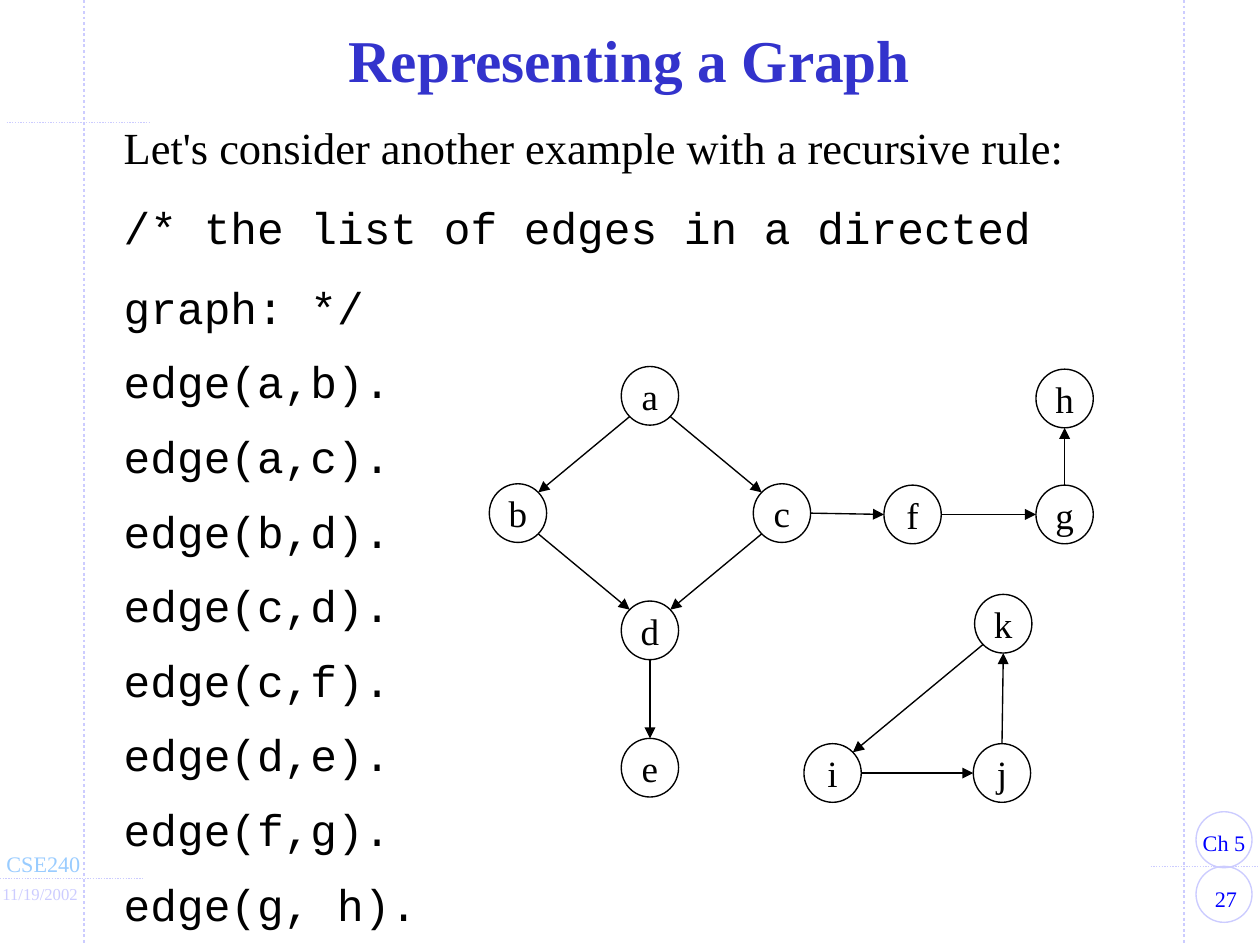
from math import sqrt

from pptx import Presentation
from pptx.dml.color import RGBColor
from pptx.enum.dml import MSO_LINE
from pptx.enum.shapes import MSO_CONNECTOR, MSO_SHAPE
from pptx.enum.text import MSO_ANCHOR, MSO_AUTO_SIZE, PP_ALIGN
from pptx.oxml.ns import qn
from pptx.util import Pt
from lxml.etree import SubElement

SCALE = 9144  # EMU per px, 100 px to the inch
WIDTH, HEIGHT = 945, 709
SERIF, MONO = "Times New Roman", "Courier New"
COLORS = {
    "title": "3333CC",
    "text": "000000",
    "node": "FFFFFF",
    "frame": "CCCCFF",
    "course": "99CCFF",
    "chapter": "0000FF",
}

CODE = [
    "/* the list of edges in a directed graph: */",
    "edge(a,b).", "edge(a,c).", "edge(b,d).", "edge(c,d).",
    "edge(c,f).", "edge(d,e).", "edge(f,g).", "edge(g, h).",
]

# Top left corner of each node within the graph box
NODE_WIDTH, NODE_HEIGHT = 43, 44
NODES = {
    "a": (99, 0), "b": (0, 88), "c": (198, 88), "d": (99, 176),
    "e": (99, 279), "f": (296, 89), "g": (410, 89), "h": (410, 2),
    "i": (236, 283), "j": (363, 283), "k": (364, 171),
}
EDGES = ["ab", "ac", "bd", "cd", "de", "cf", "fg", "gh", "ij", "ki", "jk"]


def px(*lengths):
    return [round(length * SCALE) for length in lengths]


def rgb(name):
    return RGBColor.from_string(COLORS[name])


def style_text(paragraph, size, color, font=SERIF, bold=False):
    for run in paragraph.runs:
        run.font.name = font
        run.font.size = Pt(size)
        run.font.bold = bold
        run.font.color.rgb = rgb(color)


def add_text(slide, box, text, size, color, align=PP_ALIGN.LEFT,
             wrap=False, bold=False):
    frame = slide.shapes.add_textbox(*px(*box)).text_frame
    frame.word_wrap = wrap
    frame.text = text
    paragraph = frame.paragraphs[0]
    paragraph.alignment = align
    style_text(paragraph, size, color, bold=bold)
    return frame


def add_line(slide, start, end, color, weight=0.75, dotted=False, arrow=False):
    line = slide.shapes.add_connector(MSO_CONNECTOR.STRAIGHT, *px(*start, *end))
    line.line.color.rgb = rgb(color)
    line.line.width = Pt(weight)
    if dotted:
        line.line.dash_style = MSO_LINE.ROUND_DOT
    if arrow:
        SubElement(line.line._get_or_add_ln(), qn("a:tailEnd"), type="triangle")
    SubElement(line._element.spPr, qn("a:effectLst"))


def add_ellipse(slide, box, color):
    ellipse = slide.shapes.add_shape(MSO_SHAPE.OVAL, *px(*box))
    ellipse.shadow.inherit = False
    ellipse.fill.background()
    ellipse.line.color.rgb = rgb(color)
    ellipse.line.width = Pt(0.75)
    return ellipse


def add_frame(slide, box):
    left, top, width, height = box
    right, bottom = left + width, top + height

    # Dotted margins and short cross rules
    for x in (left + 63, right - 57):
        add_line(slide, (x, top), (x, bottom), "frame", 1.5, dotted=True)
    for start, end, y in ((0, 108, 659), (863, 945, 650), (5, 113, 92)):
        add_line(slide, (left + start, top + y), (left + end, top + y),
                 "frame", dotted=True)

    # Chapter and page badges
    for y in (609, 650):
        add_ellipse(slide, (left + 897, top + y, 42, 42), "frame")
    add_text(slide, (left + 892, top + 617, 52, 30), "Ch 5", 12, "chapter",
             PP_ALIGN.CENTER)
    add_text(slide, (left + 892, top + 659, 55, 30), "27", 12, "chapter",
             PP_ALIGN.CENTER, wrap=True)

    # Course and date
    add_text(slide, (left - 5, top + 633, 76, 30), "CSE240", 12, "course")
    add_text(slide, (left - 8, top + 658, 77, 25), "11/19/2002", 9, "frame")


def add_title(slide, box):
    frame = add_text(slide, box, "Representing a Graph", 32, "title",
                     PP_ALIGN.CENTER, wrap=True, bold=True)
    frame.vertical_anchor = MSO_ANCHOR.MIDDLE
    frame.paragraphs[0].line_spacing = 0.85


def add_body(slide, box):
    frame = add_text(slide, box,
                     "Let's consider another example with a recursive rule:",
                     24, "text", wrap=True)
    frame.auto_size = MSO_AUTO_SIZE.SHAPE_TO_FIT_TEXT
    frame.paragraphs[0].line_spacing = 1.5
    for code_line in CODE:
        paragraph = frame.add_paragraph()
        paragraph.text = code_line
        paragraph.line_spacing = 1.4 if code_line.startswith("edge") else 1.5
        style_text(paragraph, 24, "text", MONO)


def direction(distance):
    """Sign of a distance, with small offsets counted as aligned."""
    return 0 if abs(distance) < 10 else (1 if distance > 0 else -1)


def add_graph(slide, box):
    left, top = box[:2]

    # Nodes
    for name, (x, y) in NODES.items():
        node = add_ellipse(slide, (left + x, top + y, NODE_WIDTH, NODE_HEIGHT),
                           "text")
        node.fill.solid()
        node.fill.fore_color.rgb = rgb("node")
        frame = node.text_frame
        frame.word_wrap = False
        frame.vertical_anchor = MSO_ANCHOR.MIDDLE
        frame.text = name
        frame.paragraphs[0].alignment = PP_ALIGN.CENTER
        style_text(frame.paragraphs[0], 20, "text")

    # Arrows run from rim to rim, straight or from the diagonal points
    for source, target in EDGES:
        (x1, y1), (x2, y2) = NODES[source], NODES[target]
        across, down = direction(x2 - x1), direction(y2 - y1)
        length = sqrt(across ** 2 + down ** 2)
        rim_x = across * NODE_WIDTH / 2 / length
        rim_y = down * NODE_HEIGHT / 2 / length
        center_x, center_y = left + NODE_WIDTH / 2, top + NODE_HEIGHT / 2
        add_line(slide,
                 (center_x + x1 + rim_x, center_y + y1 + rim_y),
                 (center_x + x2 - rim_x, center_y + y2 - rim_y),
                 "text", arrow=True)


def main():
    presentation = Presentation()
    presentation.slide_width, presentation.slide_height = px(WIDTH, HEIGHT)
    slide = presentation.slides.add_slide(presentation.slide_layouts[6])
    add_frame(slide, (0, 0, WIDTH, HEIGHT))
    add_title(slide, (69, 15, 806, 67))
    add_body(slide, (83, 65, 800, 640))
    add_graph(slide, (367, 275, 453, 327))
    presentation.save("out.pptx")


if __name__ == "__main__":
    main()
